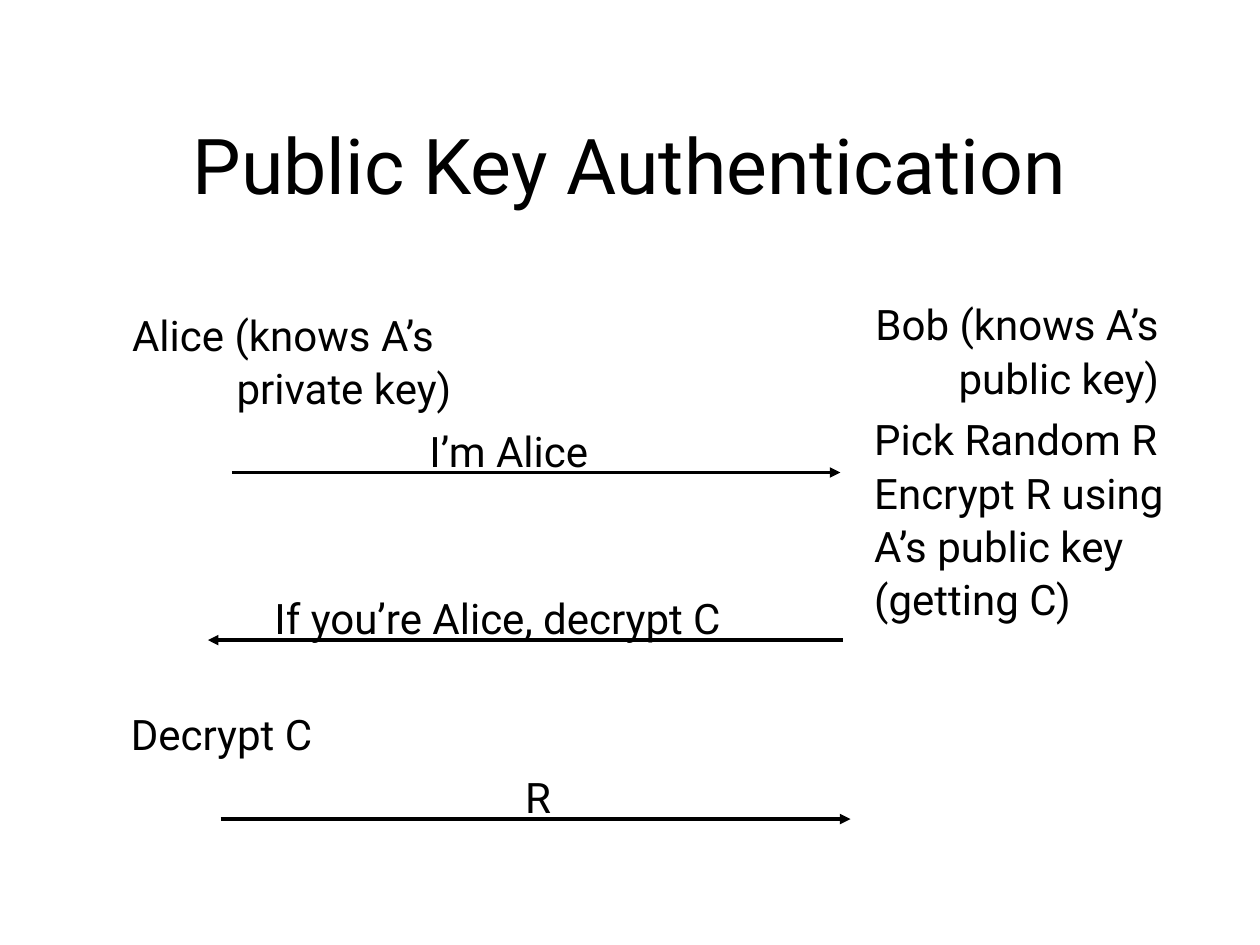
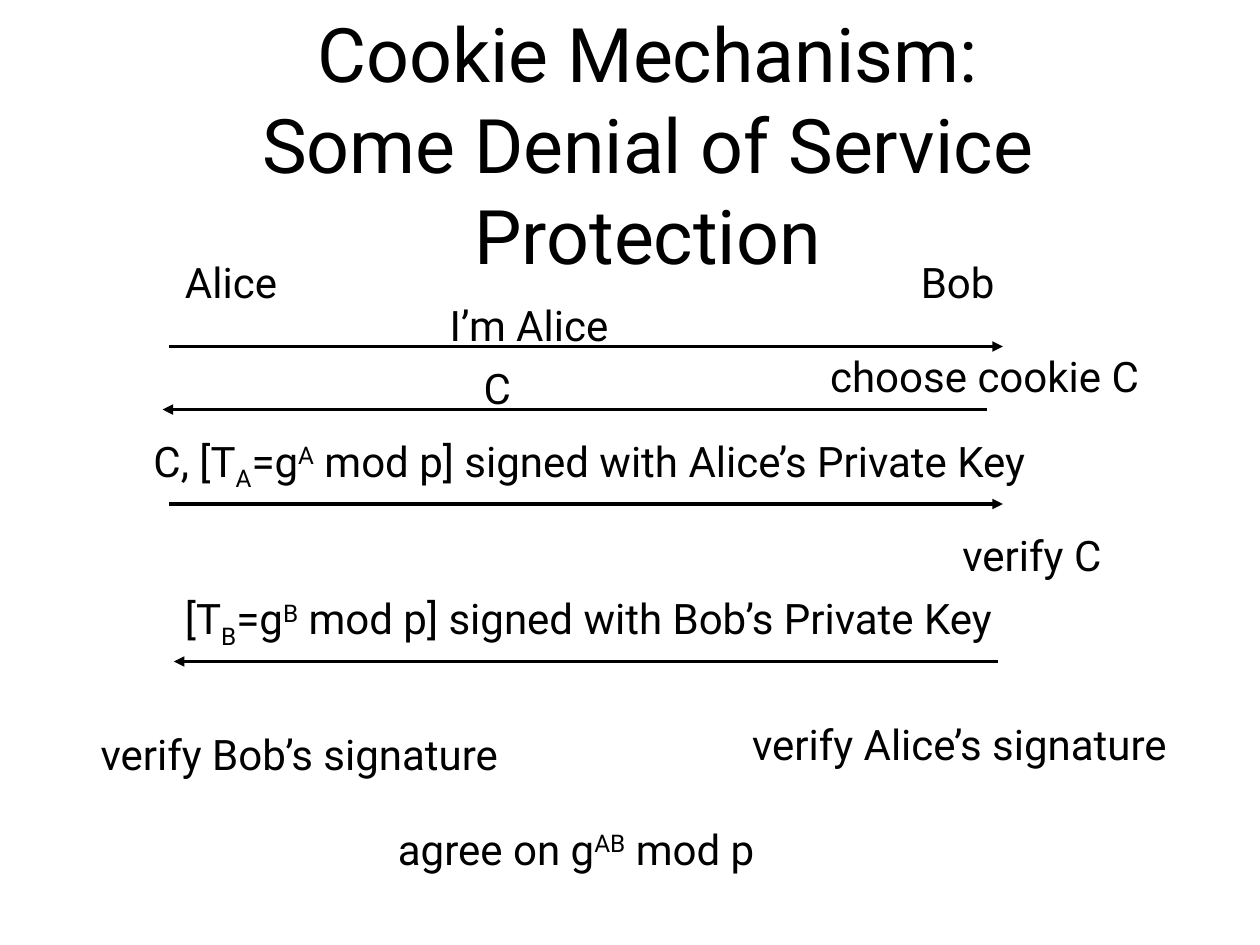
from dataclasses import dataclass

from lxml import etree
from pptx import Presentation
from pptx import util as u
from pptx.dml.color import RGBColor
from pptx.enum import shapes, text
from pptx.oxml import ns

PX = 9144
FONT = "Roboto"
INK = "000000"
PAPER = "FFFFFF"
BODY_SIZE = 24
FIRST_SPACING = 1.01
NEXT_SPACING = 1.06
LABEL_HEIGHT = 51
SUBSCRIPT = -25
SUPERSCRIPT = 30


@dataclass(frozen=True)
class Run:
    words: str
    baseline: int = 0


@dataclass(frozen=True)
class Line:
    runs: tuple[Run, ...]
    indent: int = 0


@dataclass(frozen=True)
class Box:
    left: int
    top: int
    width: int
    height: int = LABEL_HEIGHT


@dataclass(frozen=True)
class Label:
    box: Box
    lines: tuple[Line, ...]


@dataclass(frozen=True)
class Arrow:
    start: int
    end: int
    y: int


@dataclass(frozen=True)
class Exchange:
    title: tuple[str, ...]
    title_box: Box
    title_size: int
    labels: tuple[Label, ...]
    arrows: tuple[Arrow, ...]


def px(length: int) -> u.Emu:
    return u.Emu(length * PX)


def color(value: str) -> RGBColor:
    return RGBColor.from_string(value)


def line(words: str, indent: int = 0) -> Line:
    return Line((Run(words),), indent)


def label(left: int, top: int, width: int, words: str) -> Label:
    return Label(Box(left, top, width), (line(words),))


def signed_key(left: int, top: int, width: int, opening: str, party: str, name: str) -> Label:
    runs = (
        Run(f"{opening}[T"),
        Run(party, SUBSCRIPT),
        Run("=g"),
        Run(party, SUPERSCRIPT),
        Run(f" mod p] signed with {name}’s Private Key"),
    )
    return Label(Box(left, top, width, 56), (Line(runs),))


def add_run(paragraph, run: Run, size: int) -> None:
    added = paragraph.add_run()
    added.text = run.words
    added.font.name = FONT
    added.font.size = u.Pt(size)
    added.font.color.rgb = color(INK)
    if run.baseline:
        added._r.get_or_add_rPr().set("baseline", str(run.baseline * 1000))


def set_frame(frame, anchor: text.MSO_ANCHOR) -> None:
    frame.word_wrap = True
    frame.vertical_anchor = anchor
    frame.margin_left = frame.margin_right = px(10)
    frame.margin_top = frame.margin_bottom = px(5)


def add_title(slide, exchange: Exchange) -> None:
    title = slide.shapes.title
    box = exchange.title_box
    title.left, title.top = px(box.left), px(box.top)
    title.width, title.height = px(box.width), px(box.height)
    frame = title.text_frame
    set_frame(frame, text.MSO_ANCHOR.MIDDLE)
    frame.auto_size = text.MSO_AUTO_SIZE.NONE
    paragraph = frame.paragraphs[0]
    paragraph.alignment = text.PP_ALIGN.CENTER
    paragraph.line_spacing = FIRST_SPACING
    for index, words in enumerate(exchange.title):
        if index:
            paragraph.add_line_break()
        add_run(paragraph, Run(words), exchange.title_size)


def add_label(slide, item: Label) -> None:
    box = item.box
    shape = slide.shapes.add_textbox(px(box.left), px(box.top), px(box.width), px(box.height))
    frame = shape.text_frame
    set_frame(frame, text.MSO_ANCHOR.TOP)
    frame.auto_size = text.MSO_AUTO_SIZE.SHAPE_TO_FIT_TEXT
    for index, content in enumerate(item.lines):
        paragraph = frame.add_paragraph() if index else frame.paragraphs[0]
        paragraph.line_spacing = NEXT_SPACING if index else FIRST_SPACING
        if content.indent:
            paragraph._p.get_or_add_pPr().set("marL", str(px(content.indent)))
        for run in content.runs:
            add_run(paragraph, run, BODY_SIZE)


def add_arrow(slide, arrow: Arrow) -> None:
    connector = slide.shapes.add_connector(
        shapes.MSO_CONNECTOR.STRAIGHT, px(arrow.start), px(arrow.y), px(arrow.end), px(arrow.y)
    )
    connector.line.color.rgb = color(INK)
    connector.line.width = u.Pt(2)
    etree.SubElement(connector.line._get_or_add_ln(), ns.qn("a:tailEnd"), type="triangle")
    etree.SubElement(connector._element.spPr, ns.qn("a:effectLst"))


def add_exchange(presentation, exchange: Exchange) -> None:
    slide = presentation.slides.add_slide(presentation.slide_layouts[5])
    slide.background.fill.solid()
    slide.background.fill.fore_color.rgb = color(PAPER)
    add_title(slide, exchange)
    for arrow in exchange.arrows:
        add_arrow(slide, arrow)
    for item in exchange.labels:
        add_label(slide, item)


AUTHENTICATION = Exchange(
    title=("Public Key Authentication",),
    title_box=Box(75, 67, 850, 125),
    title_size=44,
    labels=(
        Label(Box(95, 240, 289, 93), (line("Alice (knows A’s"), line("private key)", 83))),
        Label(Box(685, 232, 257, 93), (line("Bob (knows A’s"), line("public key)", 66))),
        label(331, 332, 185, "I’m Alice"),
        Label(
            Box(684, 323, 263, 178),
            (
                line("Pick Random R"),
                line("Encrypt R using"),
                line("A’s public key"),
                line("(getting C)"),
            ),
        ),
        label(208, 465, 396, "If you’re Alice, decrypt C"),
        label(94, 557, 172, "Decrypt C"),
        label(407, 607, 41, "R"),
    ),
    arrows=(Arrow(184, 667, 375), Arrow(669, 165, 508), Arrow(175, 675, 650)),
)

COOKIE = Exchange(
    title=("Cookie Mechanism:", "Some Denial of Service Protection"),
    title_box=Box(58, 0, 912, 227),
    title_size=43,
    labels=(
        label(137, 198, 94, "Alice"),
        label(721, 198, 83, "Bob"),
        label(347, 232, 151, "I’m Alice"),
        label(649, 273, 272, "choose cookie C"),
        label(374, 282, 41, "C"),
        signed_key(112, 340, 750, "C, ", "A", "Alice"),
        label(754, 415, 137, "verify C"),
        signed_key(137, 465, 700, "", "B", "Bob"),
        label(587, 565, 369, "verify Alice’s signature"),
        label(70, 573, 358, "verify Bob’s signature"),
        Label(
            Box(306, 648, 324),
            (Line((Run("agree on g"), Run("AB", SUPERSCRIPT), Run(" mod p"))),),
        ),
    ),
    arrows=(
        Arrow(134, 796, 275),
        Arrow(783, 129, 325),
        Arrow(134, 796, 400),
        Arrow(792, 138, 525),
    ),
)


def main() -> None:
    presentation = Presentation()
    presentation.slide_width = px(1000)
    presentation.slide_height = px(750)
    for exchange in (AUTHENTICATION, COOKIE):
        add_exchange(presentation, exchange)
    presentation.save("out.pptx")


if __name__ == "__main__":
    main()
